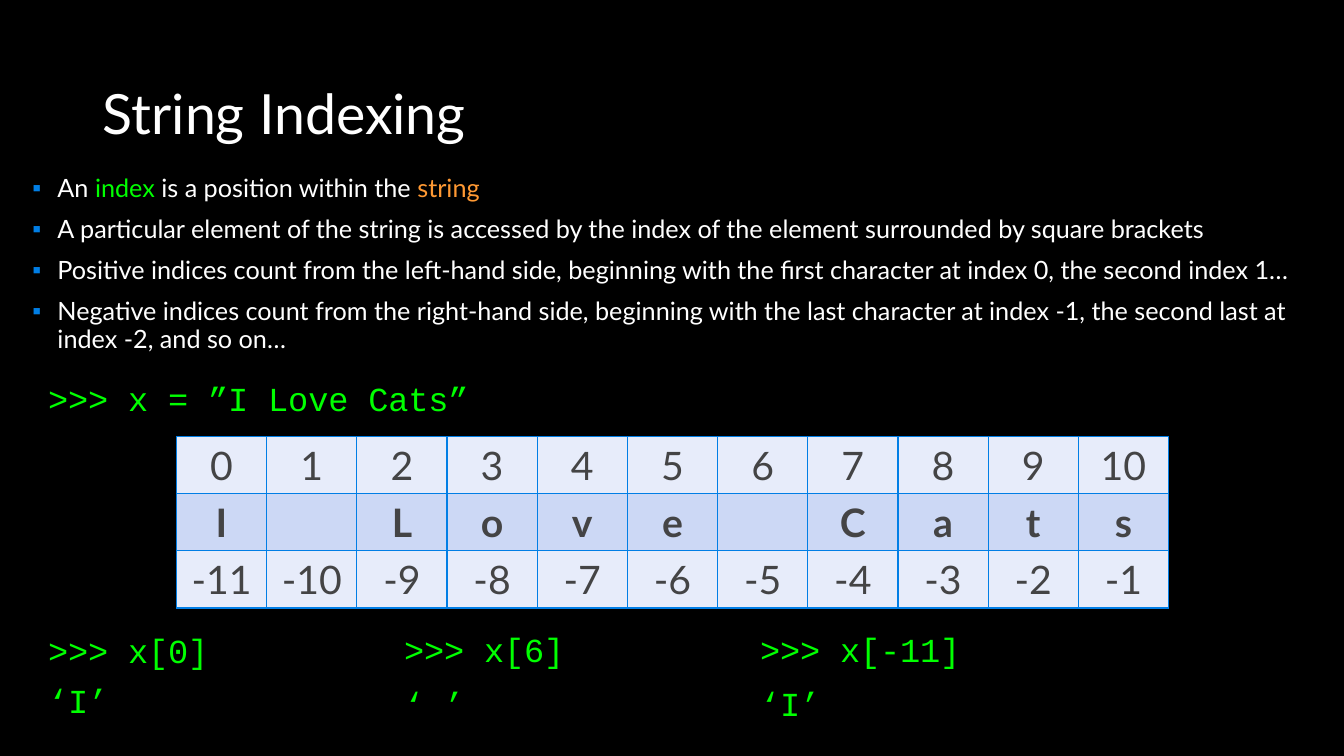
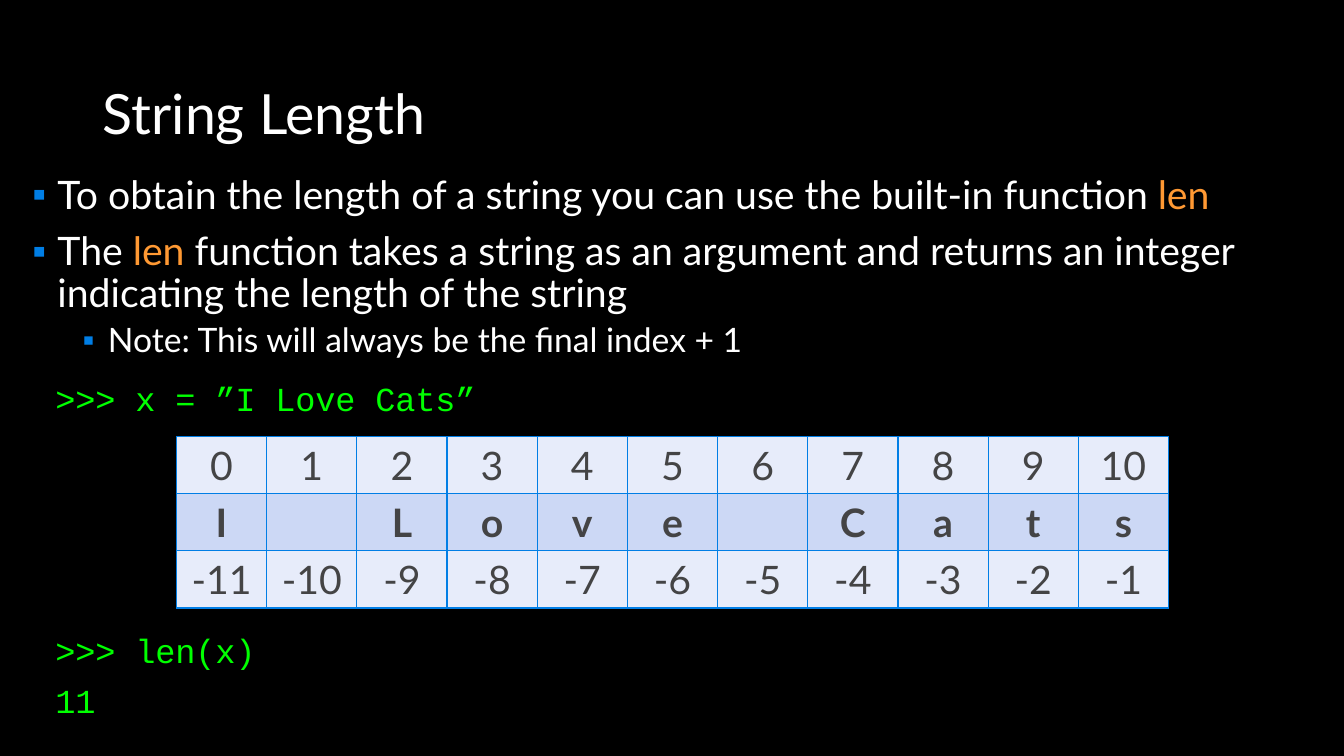
from lxml import etree
from pptx import Presentation
from pptx.dml.color import RGBColor
from pptx.enum.text import MSO_ANCHOR, MSO_AUTO_SIZE, PP_ALIGN
from pptx.oxml.ns import qn
from pptx.util import Emu, Inches, Pt

LEFT, CENTER = PP_ALIGN.LEFT, PP_ALIGN.CENTER
MIDDLE, TOP = MSO_ANCHOR.MIDDLE, MSO_ANCHOR.TOP
NO_AUTOFIT = MSO_AUTO_SIZE.NONE

BLACK, WHITE, GREEN, ORANGE = "000000", "FFFFFF", "00FF00", "FF9933"
BULLET_BLUE, BORDER_BLUE = "007EE5", "017EE5"
CELL_TEXT, PALE_ROW, LETTER_ROW = "444445", "E7ECFA", "CCD8F5"
TEXT_FONT, CODE_FONT = "Lato", "Courier New"

LINE_SPACING = 0.9
INDENT = 0.25
TITLE_AREA = (0.92, 0.8, 11.5, 0.72)
BODY_TOP, BODY_HEIGHT = 1.69, 5.29
ASSIGNMENT_TOP, QUERY_TOP = 3.75, 6.24
TABLE_AREA = (1.75, 4.33, 9.84, 1.7)
SAMPLE = "I Love Cats"


def color(hex_string):
    return RGBColor.from_string(hex_string)


def place(shape, left, top, width, height):
    shape.left, shape.top = Inches(left), Inches(top)
    shape.width, shape.height = Inches(width), Inches(height)


def style_font(font, name, size, hex_color, bold=False):
    font.name, font.size, font.bold = name, Pt(size), bold
    font.color.rgb = color(hex_color)


def set_bullet(paragraph, level):
    """Give the paragraph a blue square and a hanging indent."""
    properties = paragraph._p.get_or_add_pPr()
    properties.set("marL", str(Inches(INDENT + 2 * INDENT * level)))
    properties.set("indent", str(-Inches(INDENT)))
    bullet_color = etree.SubElement(properties, qn("a:buClr"))
    etree.SubElement(bullet_color, qn("a:srgbClr"), val=BULLET_BLUE)
    etree.SubElement(properties, qn("a:buFont"), typeface="Arial")
    etree.SubElement(properties, qn("a:buChar"), char="▪")


def paragraphs_for(frame, count):
    """Return the frame's paragraphs, extended to the given count."""
    return [frame.paragraphs[0]] + [frame.add_paragraph() for _ in range(count - 1)]


def add_titled_slide(deck, heading):
    slide = deck.slides.add_slide(deck.slide_layouts[1])
    title = slide.shapes.title
    place(title, *TITLE_AREA)
    frame = title.text_frame
    frame.text = heading
    frame.auto_size = NO_AUTOFIT
    frame.vertical_anchor = MIDDLE
    paragraph = frame.paragraphs[0]
    paragraph.alignment = LEFT
    paragraph.line_spacing = LINE_SPACING
    style_font(paragraph.font, TEXT_FONT, 39.6, WHITE)
    return slide


def fill_body(slide, width, points):
    """Write points given as (level, size, runs), each run as (text, colour)."""
    body = slide.placeholders[1]
    place(body, 0.22, BODY_TOP, width, BODY_HEIGHT)
    frame = body.text_frame
    frame.auto_size = NO_AUTOFIT
    frame.vertical_anchor = TOP
    for paragraph, (level, size, runs) in zip(paragraphs_for(frame, len(points)), points):
        paragraph.level = level
        paragraph.line_spacing = LINE_SPACING
        paragraph.space_before = Pt(5 if level else 10)
        set_bullet(paragraph, level)
        style_font(paragraph.font, TEXT_FONT, size, WHITE)
        for text, run_color in runs:
            run = paragraph.add_run()
            run.text = text
            run.font.color.rgb = color(run_color)


def add_code(slide, left, top, lines, line_spacing=LINE_SPACING):
    height = 0.1 + 0.525 * len(lines)
    box = slide.shapes.add_textbox(Inches(left), Inches(top), Inches(5.17), Inches(height))
    frame = box.text_frame
    frame.word_wrap = True
    for paragraph, line in zip(paragraphs_for(frame, len(lines)), lines):
        paragraph.text = line
        paragraph.line_spacing = line_spacing
        paragraph.space_before = Pt(10)
        style_font(paragraph.font, CODE_FONT, 24, GREEN)
        paragraph._p.pPr.find(qn("a:defRPr")).set("spc", "-10")


def set_borders(cell):
    properties = cell._tc.get_or_add_tcPr()
    for position, side in enumerate(("lnL", "lnR", "lnT", "lnB")):
        line = etree.Element(qn(f"a:{side}"), w=str(Pt(1)))
        fill = etree.SubElement(line, qn("a:solidFill"))
        etree.SubElement(fill, qn("a:srgbClr"), val=BORDER_BLUE)
        properties.insert(position, line)


def add_index_table(slide, word):
    """Show each character between its positive and negative index."""
    count = len(word)
    rows = [
        (range(count), PALE_ROW, False),
        (word, LETTER_ROW, True),
        (range(-count, 0), PALE_ROW, False),
    ]
    area = [Inches(length) for length in TABLE_AREA]
    table = slide.shapes.add_table(len(rows), count, *area).table
    table.first_row = table.horz_banding = False
    for column in table.columns:
        column.width = Emu(area[2] // count)
    for row_index, (values, fill, bold) in enumerate(rows):
        for column_index, value in enumerate(values):
            cell = table.cell(row_index, column_index)
            cell.text = str(value).strip()
            cell.fill.solid()
            cell.fill.fore_color.rgb = color(fill)
            set_borders(cell)
            paragraph = cell.text_frame.paragraphs[0]
            paragraph.alignment = CENTER
            style_font(paragraph.font, TEXT_FONT, 28, CELL_TEXT, bold)


def add_example(slide, left):
    add_code(slide, left, ASSIGNMENT_TOP, [f">>> x = ”{SAMPLE}”"])
    add_index_table(slide, SAMPLE)


def build_indexing_slide(deck):
    slide = add_titled_slide(deck, "String Indexing")
    statements = [
        [("An ", WHITE), ("index", GREEN), (" is a position within the ", WHITE),
         ("string", ORANGE)],
        [("A particular element of the string is accessed by the index of the element "
          "surrounded by square brackets", WHITE)],
        [("Positive indices count from the left-hand side, beginning with the first "
          "character at index 0, the second index 1…", WHITE)],
        [("Negative indices count from the right-hand side, beginning with the last "
          "character at index -1, the second last at index -2, and so on…", WHITE)],
    ]
    fill_body(slide, 12.95, [(0, 18, runs) for runs in statements])
    add_example(slide, 0.38)
    add_code(slide, 0.38, QUERY_TOP, [">>> x[0]", "‘I’"])
    add_code(slide, 3.91, 6.19, [">>> x[6]", "‘ ’"], 1.0)
    add_code(slide, 7.44, 6.19, [">>> x[-11]", "‘I’"], 1.0)


def build_length_slide(deck):
    slide = add_titled_slide(deck, "String Length")
    fill_body(slide, 12.4, [
        (0, 28, [("To obtain the length of a string you can use the built-in function ",
                  WHITE), ("len", ORANGE)]),
        (0, 28, [("The ", WHITE), ("len", ORANGE),
                 (" function takes a string as an argument and returns an integer "
                  "indicating the length of the string", WHITE)]),
        (1, 24, [("Note: This will always be the final index + 1", WHITE)]),
    ])
    add_example(slide, 0.45)
    add_code(slide, 0.45, QUERY_TOP, [">>> len(x)", "11"])


def main():
    deck = Presentation()
    deck.slide_width, deck.slide_height = Inches(13.33), Inches(7.5)
    background = deck.slide_master.background.fill
    background.solid()
    background.fore_color.rgb = color(BLACK)
    build_indexing_slide(deck)
    build_length_slide(deck)
    deck.save("out.pptx")


if __name__ == "__main__":
    main()
